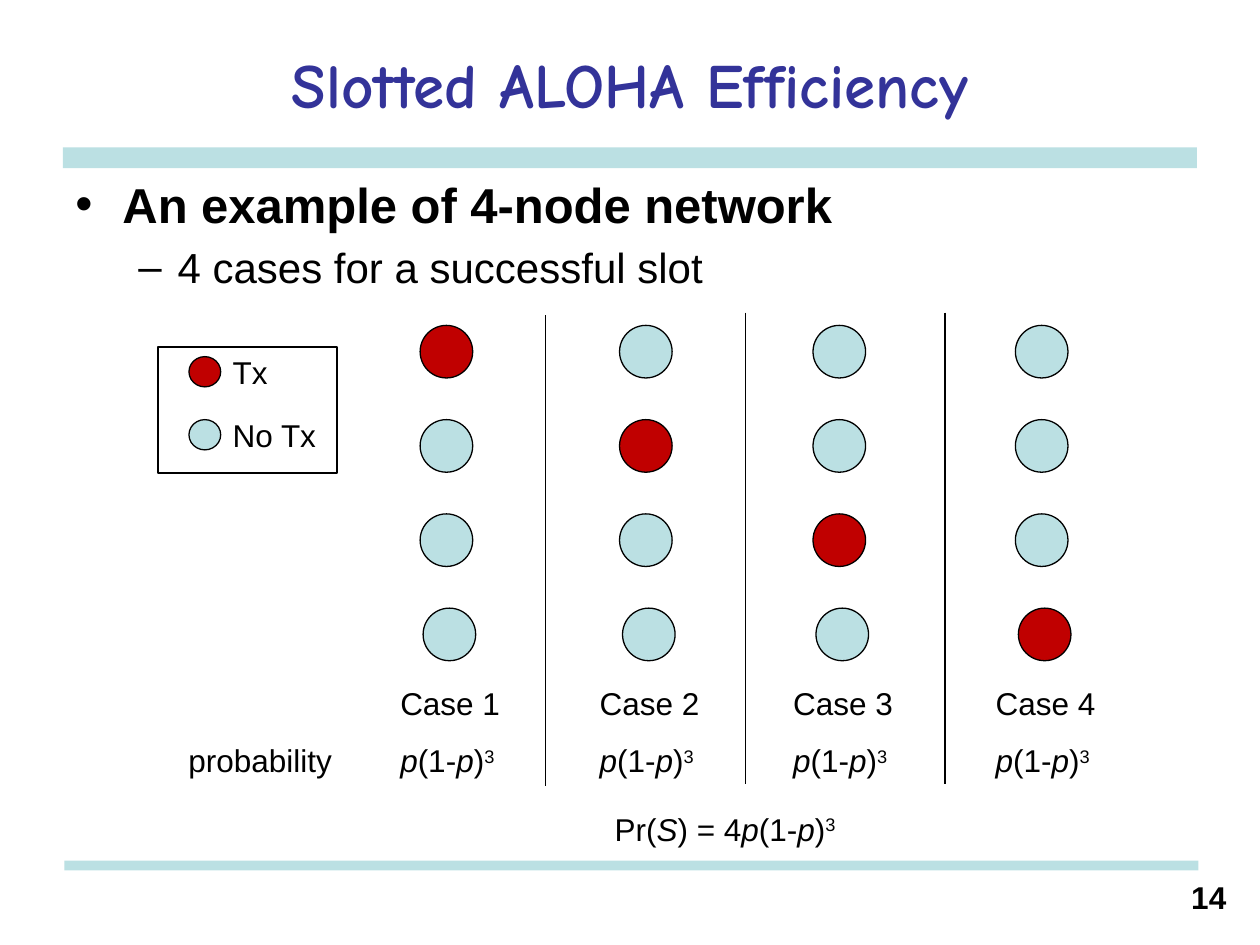
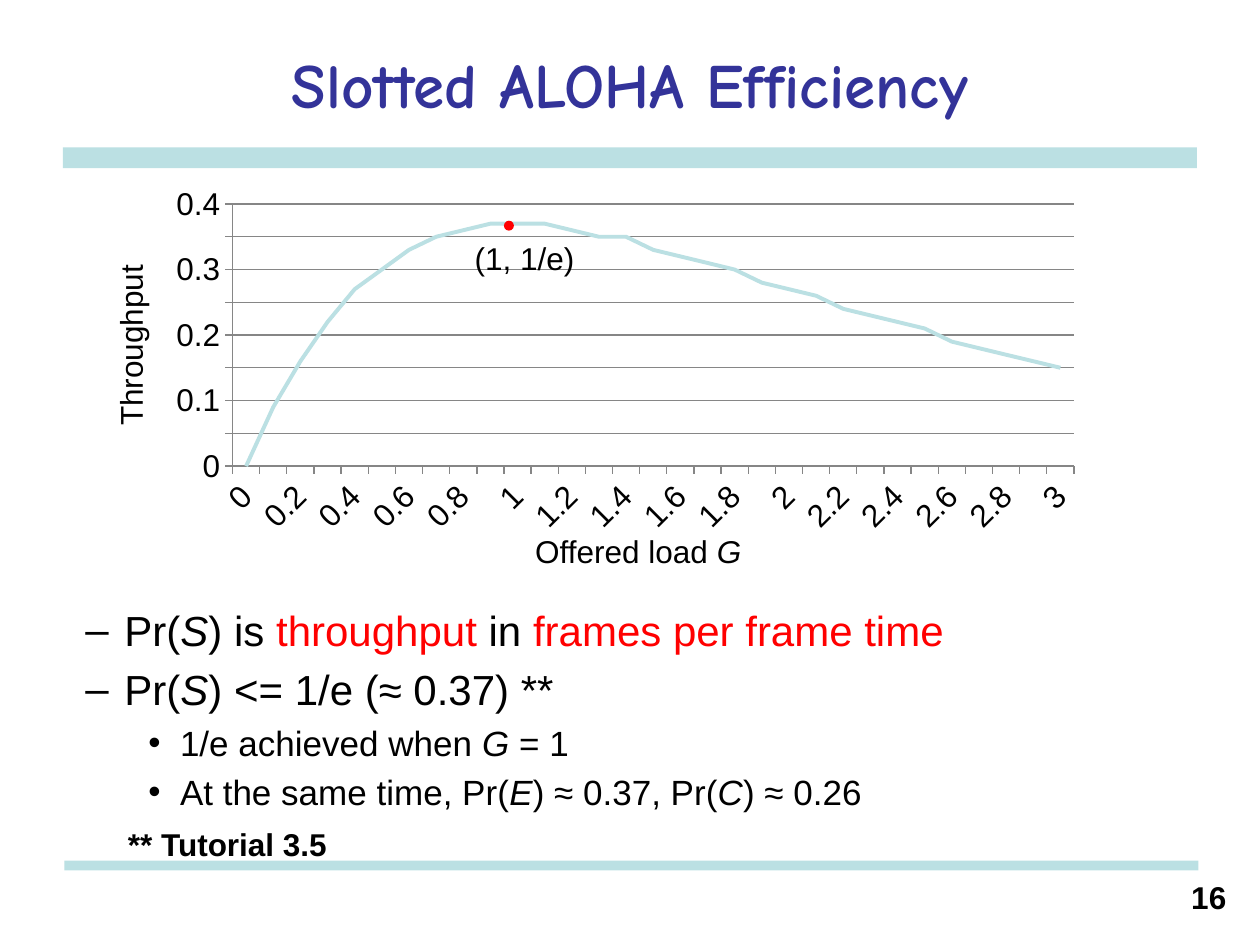
import math

import lxml.etree
import pptx
import pptx.chart.data
import pptx.dml.color
import pptx.enum.chart
import pptx.enum.shapes
import pptx.enum.text
import pptx.oxml.ns
import pptx.util

Cm = pptx.util.Cm
Pt = pptx.util.Pt
qn = pptx.oxml.ns.qn
ALIGN = pptx.enum.text.PP_ALIGN
PRESET = pptx.enum.shapes.MSO_SHAPE

COLORS = {
    "band": "BBE0E3",
    "title": "333399",
    "text": "000000",
    "transmit": "C00000",
    "accent": "FF0000",
    "grid": "868686",
}
PLAIN = {"name": "Arial", "size": Pt(18), "color": "text"}
BOLD = {**PLAIN, "bold": True}
TITLE = {"name": "Comic Neue", "size": Pt(36), "bold": True, "color": "title"}
ITALIC = {"italic": True}
RED = {"color": "accent"}
LEVELS = [
    {"bullet": "•", "left": 0.95, "hang": 0.95, "before": 0, "size": Pt(28), "bold": True},
    {"bullet": "–", "left": 2.06, "hang": 0.79, "before": 4.8, "size": Pt(24), "bold": False},
    {"bullet": "•", "left": 3.18, "hang": 0.64, "before": 4, "size": Pt(20), "bold": False},
]
ONE_SENDS = [("p", ITALIC), ("(1-", {}), ("p", ITALIC), (")", {}), ("3", {"raised": True})]


def write(slide, box, paragraphs, style=PLAIN, align=ALIGN.LEFT, anchor=pptx.enum.text.MSO_ANCHOR.TOP):
    area = slide.shapes.add_textbox(*map(Cm, box))
    frame = area.text_frame
    frame.word_wrap = True
    frame.vertical_anchor = anchor
    for index, (level, runs) in enumerate(paragraphs):
        paragraph = frame.paragraphs[0] if index == 0 else frame.add_paragraph()
        paragraph.alignment = align
        look = dict(style)
        if level is not None:
            rule = LEVELS[level]
            look.update(size=rule["size"], bold=rule["bold"])
            properties = paragraph._p.get_or_add_pPr()
            properties.set("marL", str(Cm(rule["left"])))
            properties.set("indent", str(-Cm(rule["hang"])))
            lxml.etree.SubElement(properties, qn("a:buFont")).set("typeface", "Arial")
            lxml.etree.SubElement(properties, qn("a:buChar")).set("char", rule["bullet"])
            if index:
                paragraph.space_before = Pt(rule["before"])
        for words, changes in runs:
            run = paragraph.add_run()
            run.text = words
            for key, value in {**look, **changes}.items():
                if key == "color":
                    run.font.color.rgb = pptx.dml.color.RGBColor.from_string(COLORS[value])
                elif key == "raised":
                    run._r.get_or_add_rPr().set("baseline", "30000")
                else:
                    setattr(run.font, key, value)
    return area


def draw(slide, preset, box, fill=None, outline=None):
    figure = slide.shapes.add_shape(preset, *map(Cm, box))
    figure.shadow.inherit = False
    if fill:
        figure.fill.solid()
        figure.fill.fore_color.rgb = pptx.dml.color.RGBColor.from_string(COLORS[fill])
    else:
        figure.fill.background()
    if outline:
        figure.line.color.rgb = pptx.dml.color.RGBColor.from_string(COLORS["text"])
        figure.line.width = Pt(outline)
    else:
        figure.line.fill.background()


deck = pptx.Presentation()
deck.slide_width = Cm(25.4)
deck.slide_height = Cm(19.05)

slides = []
for number in ("14", "16"):
    slide = deck.slides.add_slide(deck.slide_layouts[6])
    draw(slide, PRESET.RECTANGLE, (1.27, 2.97, 22.86, 0.42), "band")
    draw(slide, PRESET.RECTANGLE, (1.3, 17.35, 22.86, 0.2), "band")
    write(slide, (1.27, 0.42, 22.86, 2.54), [(None, [("Slotted ALOHA Efficiency", {})])],
          TITLE, ALIGN.CENTER, pptx.enum.text.MSO_ANCHOR.MIDDLE)
    write(slide, (23.28, 17.57, 1.69, 1.06), [(None, [(number, {})])], BOLD, ALIGN.RIGHT)
    slides.append(slide)
cases, throughput = slides

write(cases, (1.27, 3.39, 22.86, 13.97), [
    (0, [("An example of 4-node network", {})]),
    (1, [("4 cases for a successful slot", {})]),
])

for case, left in enumerate((8.47, 12.49, 16.39, 20.47)):
    for node in range(4):
        nudge = 0.06 if node == 3 else 0
        draw(cases, PRESET.OVAL, (left + nudge, 6.56 + 1.9 * node, 1.06, 1.06),
             "transmit" if node == case else "band", 0.75)
    write(cases, (left - 0.65, 13.66, 2.7, 1.02), [(None, [(f"Case {case + 1}", {})])])
    write(cases, (left - 0.65, 14.82, 2.7, 1.02), [(None, ONE_SENDS)])

draw(cases, PRESET.RECTANGLE, (3.18, 6.99, 3.61, 2.54), None, 1)
for row, (state, fill) in enumerate((("Tx", "transmit"), ("No Tx", "band"))):
    draw(cases, PRESET.OVAL, (3.81, 7.19 + 1.27 * row, 0.64, 0.61), fill, 0.75)
    write(cases, (4.44, 6.99 + 1.27 * row, 2.4, 1.02), [(None, [(state, {})])])

for left, top in ((11, 6.35), (15.03, 6.3), (19.05, 6.3)):
    divider = cases.shapes.add_connector(
        pptx.enum.shapes.MSO_CONNECTOR.STRAIGHT, Cm(left), Cm(top), Cm(left), Cm(top + 9.5))
    divider.line.color.rgb = pptx.dml.color.RGBColor.from_string(COLORS["text"])
    divider.line.width = Pt(0.75)
    lxml.etree.SubElement(divider._element.spPr, qn("a:effectLst"))

write(cases, (3.55, 14.82, 3.7, 1.02), [(None, [("probability", {})])])
write(cases, (12.14, 16.2, 5.4, 1.02),
      [(None, [("Pr(", {}), ("S", ITALIC), (") = 4", {})] + ONE_SENDS)])

write(throughput, (0.2, 12.07, 22.86, 4.65), [
    (1, [("Pr(", {}), ("S", ITALIC), (") is ", {}), ("throughput", RED),
         (" in ", {}), ("frames per frame time", RED)]),
    (1, [("Pr(", {}), ("S", ITALIC), (") <= 1/e (≈ 0.37) **", {})]),
    (2, [("1/e achieved when ", {}), ("G", ITALIC), (" = 1", {})]),
    (2, [("At the same time, Pr(", {}), ("E", ITALIC), (") ≈ 0.37, Pr(", {}),
         ("C", ITALIC), (") ≈ 0.26", {})]),
])
write(throughput, (2.33, 16.51, 6.35, 1.06), [(None, [("** Tutorial 3.5", {})])], BOLD)

loads = [step / 10 for step in range(31)]
curve = pptx.chart.data.CategoryChartData()
curve.categories = [f"{load:g}" for load in loads]
curve.add_series("Series 1", [round(load * math.exp(-load), 2) for load in loads])
chart = throughput.shapes.add_chart(
    pptx.enum.chart.XL_CHART_TYPE.LINE, Cm(3.18), Cm(3.6), Cm(18.85), Cm(7.34), curve).chart
chart.has_legend = False
chart.has_title = False
chart.font.name = "Arial"
chart.font.size = Pt(18)
chart.font.color.rgb = pptx.dml.color.RGBColor.from_string(COLORS["text"])
chart.plots[0].vary_by_categories = False
series = chart.plots[0].series[0]
series.smooth = False
series.format.line.width = Pt(2.25)
series.format.line.color.rgb = pptx.dml.color.RGBColor.from_string(COLORS["band"])

load_axis, rate_axis = chart.category_axis, chart.value_axis
for key, value in {"minimum_scale": 0, "maximum_scale": 0.4, "major_unit": 0.05,
                   "has_major_gridlines": True}.items():
    setattr(rate_axis, key, value)
rate_axis.tick_labels.number_format = "General"
rate_axis.tick_labels.number_format_is_linked = False
for axis in (load_axis, rate_axis):
    axis.major_tick_mark = pptx.enum.chart.XL_TICK_MARK.OUTSIDE
    axis.tick_labels.font.size = Pt(18)
for ruled in (load_axis, rate_axis, rate_axis.major_gridlines):
    ruled.format.line.width = Pt(0.75)
    ruled.format.line.color.rgb = pptx.dml.color.RGBColor.from_string(COLORS["grid"])
load_axis._element.txPr.bodyPr.set("rot", "-2700000")

plot_area = chart._chartSpace.chart.plotArea
for automatic in plot_area.findall(qn("c:layout")):
    plot_area.remove(automatic)
layout = lxml.etree.Element(qn("c:layout"))
plot_area.insert(0, layout)
manual = lxml.etree.SubElement(layout, qn("c:manualLayout"))
for key, value in {"layoutTarget": "inner", "xMode": "edge", "yMode": "edge",
                   "x": 0.08, "y": 0.07, "w": 0.9, "h": 0.72}.items():
    lxml.etree.SubElement(manual, qn(f"c:{key}")).set("val", str(value))

write(throughput, (10.54, 10.6, 4.8, 1.02), [(None, [("Offered load ", {}), ("G", ITALIC)])])
rate_title = write(throughput, (0.63, 6.45, 4, 1.02), [(None, [("Throughput", {})])],
                   align=ALIGN.CENTER)
rate_title.rotation = 270
draw(throughput, PRESET.OVAL, (10.16, 4.45, 0.2, 0.2), "accent")
write(throughput, (9.32, 4.7, 2.7, 1.02), [(None, [("(1, 1/e)", {})])])

deck.save("out.pptx")
